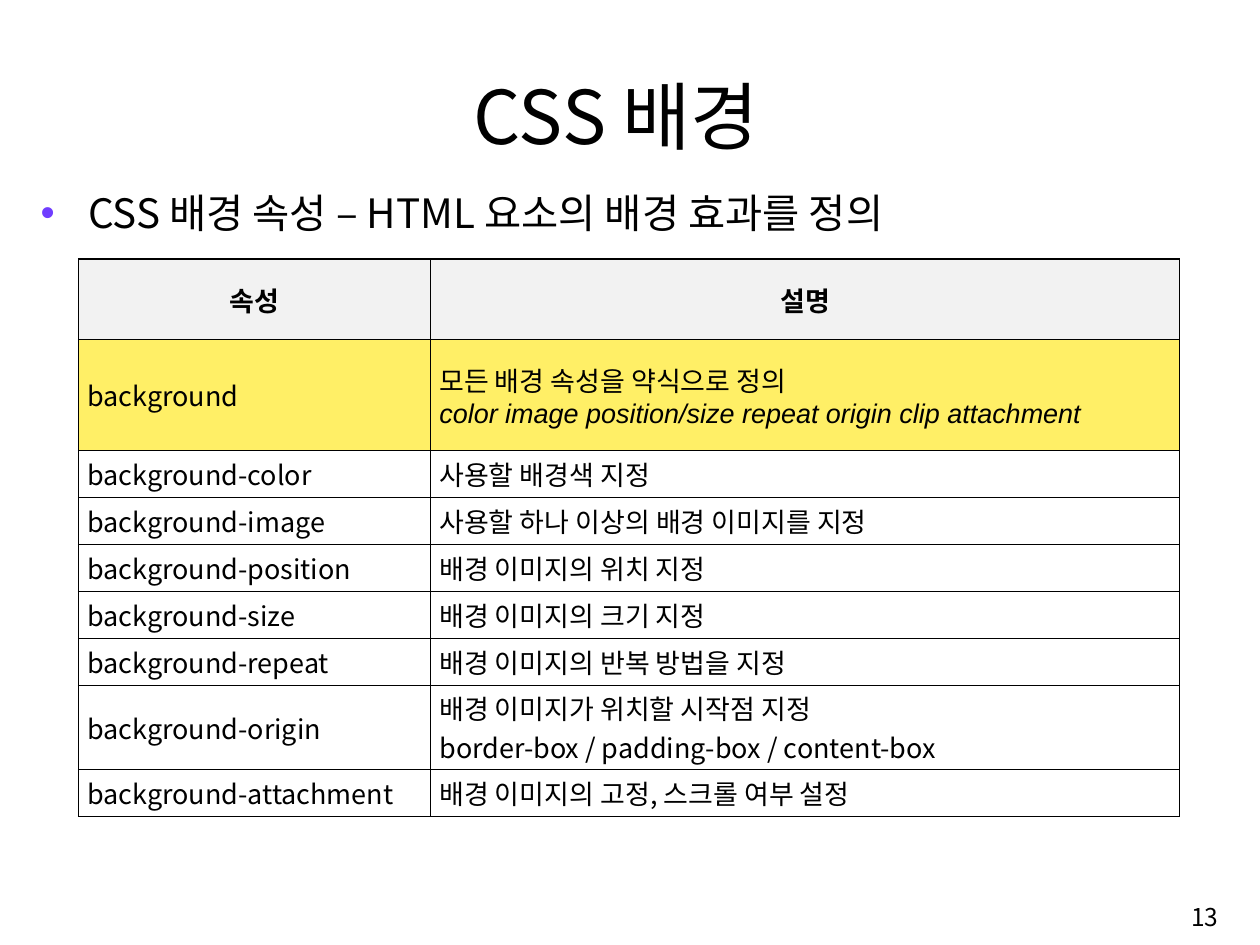
"""Build a slide with a table of CSS background properties."""
import dataclasses
import typing

import lxml.etree
import pptx
import pptx.dml.color
import pptx.enum.text
import pptx.oxml.ns
import pptx.slide
import pptx.table
import pptx.text.text
import pptx.util

Inches = pptx.util.Inches
Align = pptx.enum.text.PP_ALIGN
Anchor = pptx.enum.text.MSO_ANCHOR
qn = pptx.oxml.ns.qn

KOREAN_FONT = "Noto Sans CJK KR"
BLACK = "000000"


@dataclasses.dataclass(frozen=True)
class Label:
    text: str
    left: float
    top: float
    width: float
    height: float
    size: float
    align: Align = Align.LEFT
    anchor: Anchor = Anchor.TOP
    bullet: str = ""


@dataclasses.dataclass(frozen=True)
class Property:
    name: str
    description: tuple[str, ...]
    height: float = 0.485
    fill: str = ""
    header: bool = False
    syntax: str = ""


LABELS = (
    Label("CSS 배경 속성 – HTML 요소의 배경 효과를 정의", 0.32, 1.89, 12.32, 7.25, 30, bullet="703DFF"),
    Label("13", 9.98, 9.15, 2.68, 0.6, 18.2, Align.RIGHT, Anchor.MIDDLE),
    Label("CSS 배경", 1.05, 0.61, 10.61, 1.08, 55, Align.CENTER, Anchor.BOTTOM),
)
PROPERTIES = (
    Property("속성", ("설명",), 0.83, "F2F2F2", header=True),
    Property("background", ("모든 배경 속성을 약식으로 정의",), 1.14, "FFEF66",
             syntax="color image position/size repeat origin clip attachment"),
    Property("background-color", ("사용할 배경색 지정",)),
    Property("background-image", ("사용할 하나 이상의 배경 이미지를 지정",)),
    Property("background-position", ("배경 이미지의 위치 지정",)),
    Property("background-size", ("배경 이미지의 크기 지정",)),
    Property("background-repeat", ("배경 이미지의 반복 방법을 지정",)),
    Property("background-origin", ("배경 이미지가 위치할 시작점 지정", "border-box / padding-box / content-box"), 0.86),
    Property("background-attachment", ("배경 이미지의 고정, 스크롤 여부 설정",)),
)
COLUMN_WIDTHS = (3.63, 7.72)


def color(value: str) -> pptx.dml.color.RGBColor:
    return pptx.dml.color.RGBColor.from_string(value)


def add_element(parent: typing.Any, tag: str, **attributes: str) -> typing.Any:
    return lxml.etree.SubElement(parent, qn(tag), attributes)


def style_paragraph(paragraph: pptx.text.text._Paragraph, size: float, align: Align,
                    name: str = KOREAN_FONT) -> None:
    paragraph.alignment = align
    font = paragraph.font
    font.size = pptx.util.Pt(size)
    font.color.rgb = color(BLACK)
    font.name = name
    add_element(paragraph._p.pPr.find(qn("a:defRPr")), "a:ea", typeface=name)


def add_bullet(paragraph: pptx.text.text._Paragraph, bullet_color: str) -> None:
    properties = paragraph._p.get_or_add_pPr()
    properties.set("marL", str(Inches(0.49)))
    properties.set("indent", str(Inches(-0.49)))
    spacing = add_element(properties, "a:spcBef")
    add_element(spacing, "a:spcPct", val="20000")
    add_element(add_element(properties, "a:buClr"), "a:srgbClr", val=bullet_color)
    add_element(properties, "a:buFont", typeface="Arial")
    add_element(properties, "a:buChar", char="•")


def add_label(slide: pptx.slide.Slide, label: Label) -> None:
    box = slide.shapes.add_textbox(*map(Inches, (label.left, label.top, label.width, label.height)))
    frame = box.text_frame
    frame.word_wrap = True
    frame.vertical_anchor = label.anchor
    paragraph = frame.paragraphs[0]
    paragraph.text = label.text
    if label.bullet:
        add_bullet(paragraph, label.bullet)
    style_paragraph(paragraph, label.size, label.align)


def add_borders(cell: pptx.table._Cell) -> None:
    properties = cell._tc.get_or_add_tcPr()
    for side in ("a:lnL", "a:lnR", "a:lnT", "a:lnB"):
        line = add_element(properties, side, w=str(pptx.util.Pt(1)))
        add_element(add_element(line, "a:solidFill"), "a:srgbClr", val=BLACK)


def fill_cell(cell: pptx.table._Cell, lines: tuple[str, ...], entry: Property) -> None:
    cell.vertical_anchor = Anchor.MIDDLE
    cell.margin_left = cell.margin_right = Inches(0.09)
    cell.margin_top = cell.margin_bottom = Inches(0.03)
    add_borders(cell)
    if entry.fill:
        cell.fill.solid()
        cell.fill.fore_color.rgb = color(entry.fill)
    else:
        cell.fill.background()
    cell.text = "\n".join(lines)
    for paragraph in cell.text_frame.paragraphs:
        is_syntax = bool(entry.syntax) and paragraph.text == entry.syntax
        style_paragraph(paragraph, 20, Align.CENTER if entry.header else Align.JUSTIFY,
                        "Arial" if is_syntax else KOREAN_FONT)
        paragraph.font.bold = entry.header
        paragraph.font.italic = is_syntax


def add_property_table(slide: pptx.slide.Slide) -> None:
    height = sum(entry.height for entry in PROPERTIES)
    table = slide.shapes.add_table(
        len(PROPERTIES), len(COLUMN_WIDTHS), Inches(0.81), Inches(2.67),
        Inches(sum(COLUMN_WIDTHS)), Inches(height)).table
    for column, width in zip(table.columns, COLUMN_WIDTHS):
        column.width = Inches(width)
    for row, entry in zip(table.rows, PROPERTIES):
        row.height = Inches(entry.height)
        syntax = (entry.syntax,) if entry.syntax else ()
        for cell, lines in zip(row.cells, ((entry.name,), entry.description + syntax)):
            fill_cell(cell, lines, entry)


def main() -> None:
    presentation = pptx.Presentation()
    presentation.slide_width = Inches(12.99)
    presentation.slide_height = Inches(9.74)
    slide = presentation.slides.add_slide(presentation.slide_layouts[6])
    add_property_table(slide)
    for label in LABELS:
        add_label(slide, label)
    presentation.save("out.pptx")


if __name__ == "__main__":
    main()
